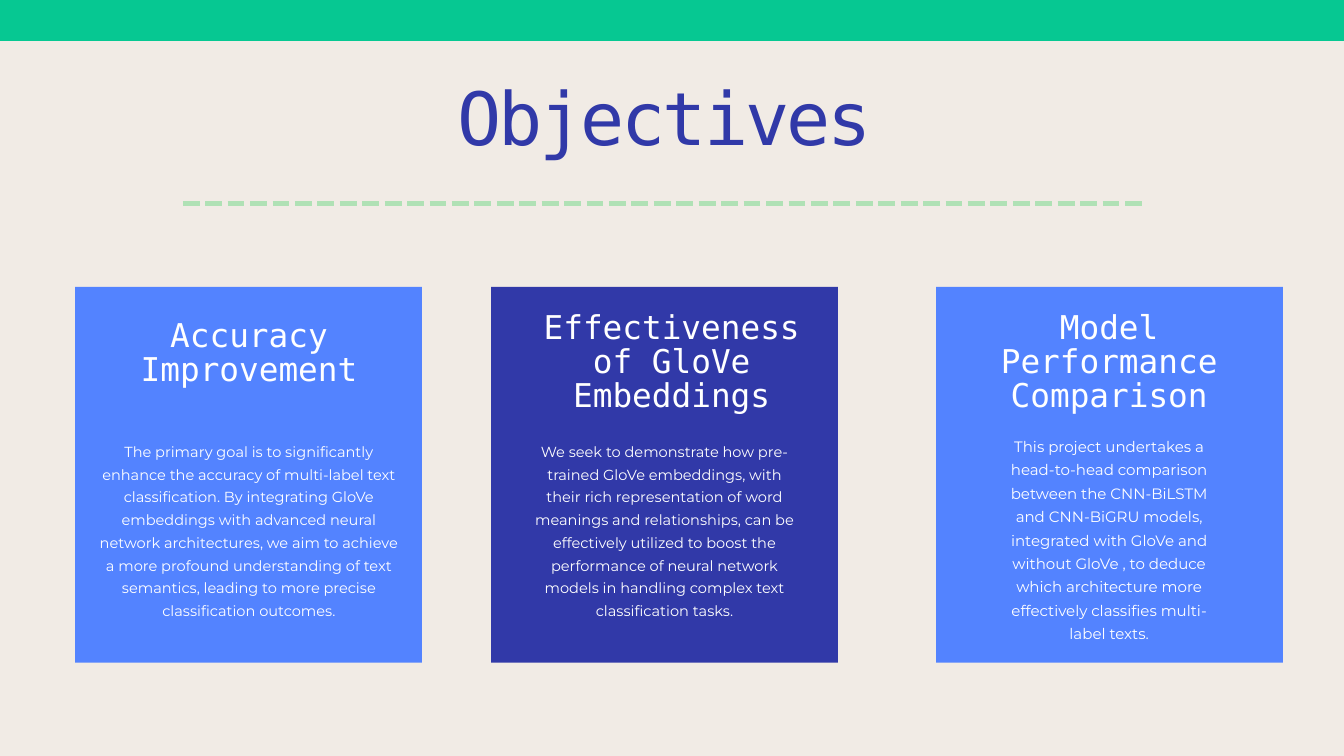
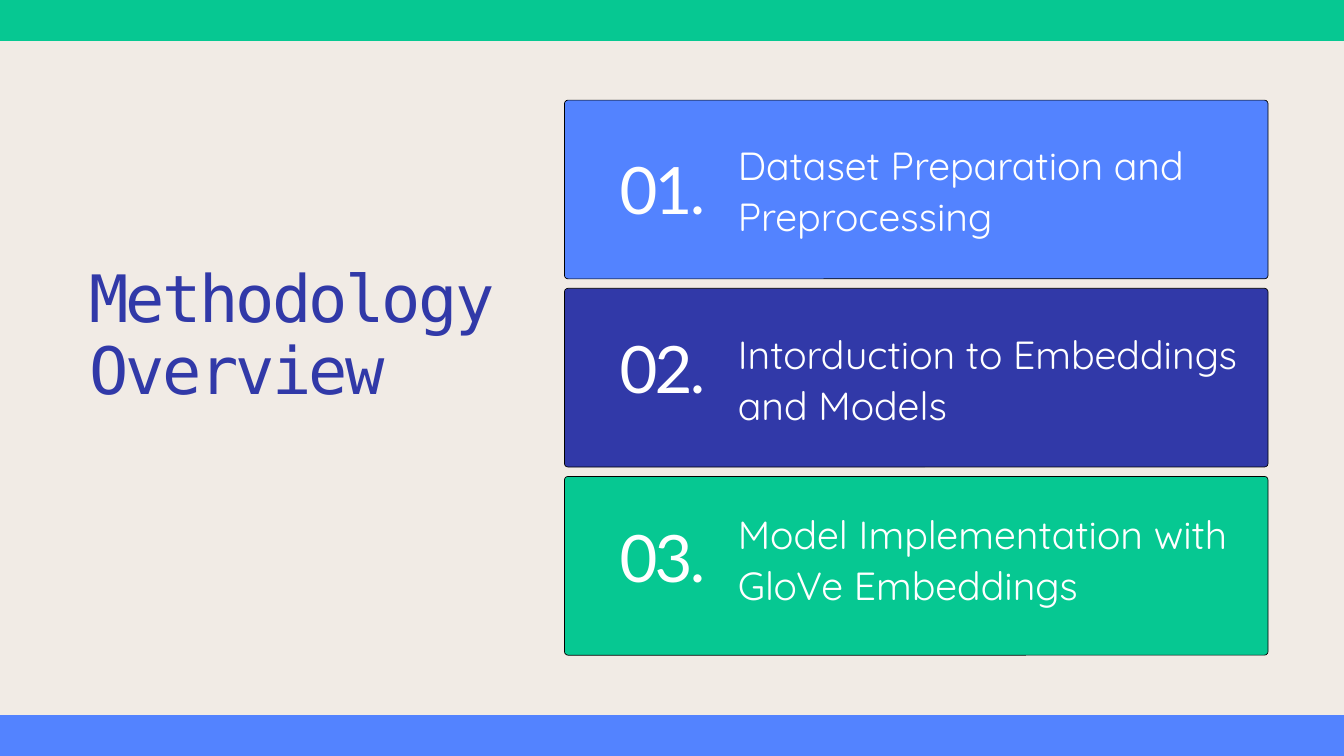
from lxml.etree import SubElement
from pptx import Presentation
from pptx.dml.color import RGBColor
from pptx.enum.dml import MSO_LINE
from pptx.enum.shapes import MSO_CONNECTOR, MSO_SHAPE
from pptx.enum.text import PP_ALIGN
from pptx.oxml.ns import qn
from pptx.util import Inches, Pt

# The slide is a grid of 20 columns by 11.25 rows
COLUMNS, ROWS = 20, 11.25
CELL = Inches(1)
BAND_ROWS = 0.61

CREAM = RGBColor(0xF1, 0xEB, 0xE5)
GREEN = RGBColor(0x06, 0xC8, 0x92)
PALE_GREEN = RGBColor(0xB0, 0xE1, 0xB5)
BLUE = RGBColor(0x53, 0x83, 0xFF)
NAVY = RGBColor(0x31, 0x39, 0xA8)
WHITE = RGBColor(0xFF, 0xFF, 0xFF)
BLACK = RGBColor(0, 0, 0)

MONO, NUMBER_FONT = "DejaVu Sans Mono", "Lato"
BODY_FONT, STEP_FONT = "Montserrat", "Quicksand"

# Objective cards: left, fill, heading, heading box, body, body box, body size, body spacing
CARD_TOP, CARD_WIDTH, CARD_HEIGHT = 4.27, 5.16, 5.59
OBJECTIVES = [
    (1.12, BLUE, "Accuracy Improvement", (1.86, 4.77, 3.69, 1.02),
     "The primary goal is to significantly enhance the accuracy of multi-label text "
     "classification. By integrating GloVe embeddings with advanced neural network "
     "architectures, we aim to achieve a more profound understanding of text semantics, "
     "leading to more precise classification outcomes.",
     (1.44, 6.51, 4.53, 2.67), 15.6, 24.4),
    (7.31, NAVY, "Effectiveness of GloVe Embeddings", (7.76, 4.65, 4.47, 1.52),
     "We seek to demonstrate how pre-trained GloVe embeddings, with their rich "
     "representation of word meanings and relationships, can be effectively utilized to "
     "boost the performance of neural network models in handling complex text "
     "classification tasks.",
     (7.93, 6.51, 3.92, 2.67), 15.6, 24.4),
    (13.93, BLUE, "Model Performance Comparison", (14.28, 4.65, 4.45, 1.52),
     "This project undertakes a head-to-head comparison between the CNN-BiLSTM and "
     "CNN-BiGRU models, integrated with GloVe and without GloVe , to deduce which "
     "architecture more effectively classifies multi-label texts.",
     (14.96, 6.43, 3.09, 3.1), 16.1, 25.1),
]

# Method steps: fill, text, top of the number, top of the text
STEP_LEFT, STEP_TOP, STEP_WIDTH, STEP_HEIGHT = 8.4, 1.49, 10.47, 2.66
STEP_PITCH = 2.8
STEPS = [
    (BLUE, "Dataset Preparation and Preprocessing", 2.32, 2.05),
    (NAVY, "Intorduction to Embeddings and Models", 4.99, 4.86),
    (GREEN, "Model Implementation with GloVe Embeddings", 7.8, 7.54),
]


def cells(*counts):
    """Turn counts of grid cells into lengths."""
    return [round(count * CELL) for count in counts]


def add_slide(presentation):
    slide = presentation.slides.add_slide(presentation.slide_layouts[6])
    slide.background.fill.solid()
    slide.background.fill.fore_color.rgb = CREAM
    return slide


def add_block(slide, box, fill, outline=None, kind=MSO_SHAPE.RECTANGLE):
    shape = slide.shapes.add_shape(kind, *cells(*box))
    shape.shadow.inherit = False
    shape.fill.solid()
    shape.fill.fore_color.rgb = fill
    if outline is None:
        shape.line.fill.background()
    else:
        shape.line.color.rgb = outline
        shape.line.width = Pt(0.75)
    return shape


def add_band(slide, top, fill):
    add_block(slide, (0, top, COLUMNS, BAND_ROWS), fill)


def add_text(slide, box, text, font, size, line_spacing, color=WHITE,
             align=PP_ALIGN.LEFT, tracking=None):
    text_frame = slide.shapes.add_textbox(*cells(*box)).text_frame
    text_frame.margin_left = text_frame.margin_right = 0
    text_frame.margin_top = text_frame.margin_bottom = 0
    text_frame.word_wrap = True
    text_frame.text = text
    for paragraph in text_frame.paragraphs:
        paragraph.alignment = align
        paragraph.line_spacing = Pt(line_spacing)
        for run in paragraph.runs:
            run.font.name = font
            run.font.size = Pt(size)
            run.font.color.rgb = color
            if tracking is not None:
                run.font._element.set("spc", str(round(tracking * 100)))


def add_title(slide, box, text, size, line_spacing, align, tracking):
    add_text(slide, box, text, MONO, size, line_spacing, NAVY, align, tracking)


def add_dashed_rule(slide, left, right, row):
    rule = slide.shapes.add_connector(MSO_CONNECTOR.STRAIGHT, *cells(left, row, right, row))
    rule.line.color.rgb = PALE_GREEN
    rule.line.width = Pt(6)
    rule.line.dash_style = MSO_LINE.SQUARE_DOT
    rule.line._ln.find(qn("a:prstDash")).set("val", "sysDash")
    SubElement(rule._element.spPr, qn("a:effectLst"))


def add_objective(slide, left, fill, heading, heading_box, body, body_box, size, spacing):
    add_block(slide, (left, CARD_TOP, CARD_WIDTH, CARD_HEIGHT), fill)
    add_text(slide, heading_box, heading, MONO, 35.1, 36.1, align=PP_ALIGN.CENTER)
    add_text(slide, body_box, body, BODY_FONT, size, spacing, align=PP_ALIGN.CENTER)


def add_step(slide, index, fill, text, number_top, text_top):
    top = STEP_TOP + index * STEP_PITCH
    panel = add_block(slide, (STEP_LEFT, top, STEP_WIDTH, STEP_HEIGHT), fill, BLACK,
                      MSO_SHAPE.ROUNDED_RECTANGLE)
    panel.adjustments[0] = 0.02
    add_text(slide, (9.22, number_top, 1.56, 1.09), f"{index + 1:02}.",
             NUMBER_FONT, 70, 76.3, tracking=-2.9)
    add_text(slide, (10.98, text_top, 7.73, 1.48), text, STEP_FONT, 42, 54.6)


def build_objectives(presentation):
    slide = add_slide(presentation)
    add_band(slide, 0, GREEN)
    add_title(slide, (2.72, 1.29, 14.34, 1.14), "Objectives", 78.6, 78.6,
              PP_ALIGN.CENTER, -3.3)
    add_dashed_rule(slide, 2.72, 17.06, 3.03)
    for objective in OBJECTIVES:
        add_objective(slide, *objective)


def build_methodology(presentation):
    slide = add_slide(presentation)
    add_band(slide, 0, GREEN)
    add_band(slide, ROWS - BAND_ROWS, BLUE)
    add_title(slide, (1.33, 3.94, 6.13, 2.14), "Methodology\nOverview", 70, 76.3,
              PP_ALIGN.LEFT, -2.9)
    for index, step in enumerate(STEPS):
        add_step(slide, index, *step)


def main():
    presentation = Presentation()
    presentation.slide_width, presentation.slide_height = cells(COLUMNS, ROWS)
    build_objectives(presentation)
    build_methodology(presentation)
    presentation.save("out.pptx")


if __name__ == "__main__":
    main()
